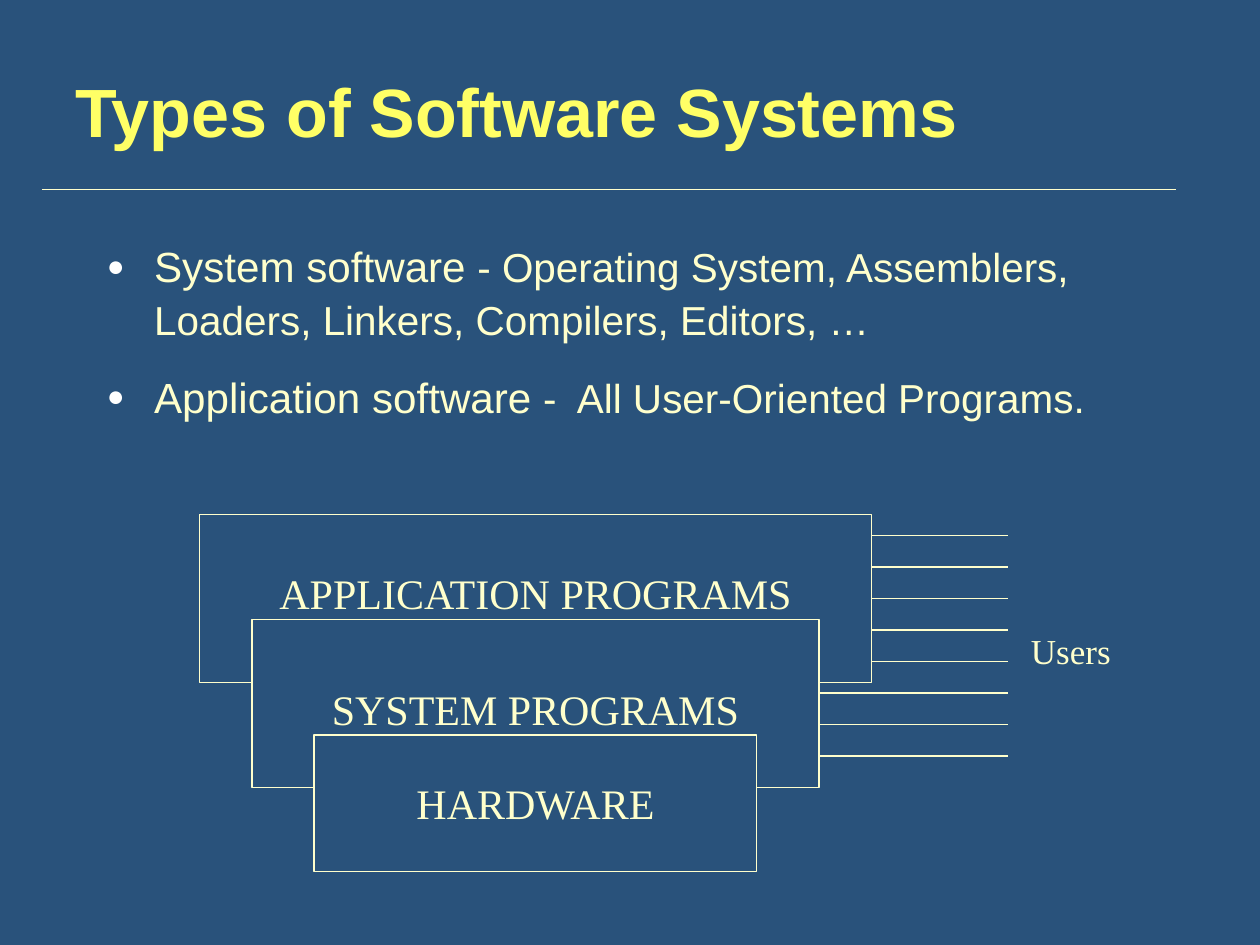
from lxml.etree import SubElement
from pptx import Presentation
from pptx.dml.color import RGBColor
from pptx.enum.shapes import MSO_CONNECTOR, MSO_SHAPE
from pptx.enum.text import MSO_ANCHOR, PP_ALIGN
from pptx.oxml.ns import qn
from pptx.util import Pt

NAVY = RGBColor(0x29, 0x52, 0x7B)
CREAM = RGBColor(0xFF, 0xFF, 0xCC)
YELLOW = RGBColor(0xFF, 0xFF, 0x66)
SANS = "Arial"
SERIF = "Times New Roman"


def add_run(p, text, size, font, color=CREAM, bold=False):
    r = p.add_run()
    r.text = text
    r.font.size = Pt(size)
    r.font.name = font
    r.font.bold = bold
    r.font.color.rgb = color


def add_box(s, x, y, w, h, wrap=True):
    tf = s.shapes.add_textbox(Pt(x), Pt(y), Pt(w), Pt(h)).text_frame
    tf.word_wrap = wrap
    return tf


def add_line(s, x1, x2, y, width=0.75):
    c = s.shapes.add_connector(MSO_CONNECTOR.STRAIGHT, Pt(x1), Pt(y), Pt(x2), Pt(y))
    c.line.color.rgb = CREAM
    c.line.width = Pt(width)
    SubElement(c._element.spPr, qn("a:effectLst"))


def add_bullet(p):
    pPr = p._p.get_or_add_pPr()
    pPr.set("marL", str(Pt(27)))
    pPr.set("indent", str(-Pt(27)))
    color = SubElement(pPr, qn("a:buClr"))
    SubElement(color, qn("a:srgbClr"), val="FFFFFF")
    SubElement(pPr, qn("a:buSzPct"), val="70000")
    SubElement(pPr, qn("a:buFont"), typeface=SANS)
    SubElement(pPr, qn("a:buChar"), char="●")


def add_title(s, x, y, w, h):
    tf = add_box(s, x, y, w, h)
    tf.vertical_anchor = MSO_ANCHOR.BOTTOM
    add_run(tf.paragraphs[0], "Types of Software Systems", 39, SANS, YELLOW, True)
    add_line(s, x - 12, x + 636, y + h + 18, 0.5)


def add_body(s, x, y, w, h):
    items = [
        ("System software", " - Operating System, Assemblers, Loaders, Linkers, Compilers, Editors, …"),
        ("Application software", " -  All User-Oriented Programs."),
    ]
    tf = add_box(s, x, y, w, h)
    for i, (term, detail) in enumerate(items):
        p = tf.add_paragraph() if i else tf.paragraphs[0]
        p.line_spacing = 1.07
        p.space_before = Pt(14 if i else 0)
        add_bullet(p)
        add_run(p, term, 24.1, SANS)
        add_run(p, detail, 23.1, SANS)


def add_layer(s, x, y, w, h, label, label_top):
    sp = s.shapes.add_shape(MSO_SHAPE.RECTANGLE, Pt(x), Pt(y), Pt(w), Pt(h))
    sp.shadow.inherit = False
    sp.fill.solid()
    sp.fill.fore_color.rgb = NAVY
    sp.line.color.rgb = CREAM
    sp.line.width = Pt(0.75)
    p = add_box(s, x, y + label_top, w, 36).paragraphs[0]
    p.alignment = PP_ALIGN.CENTER
    p.line_spacing = 1.1
    add_run(p, label, 24, SERIF)


def add_diagram(s, x, y, w):
    layers = [
        (0, 0, 96, "APPLICATION PROGRAMS", 24),
        (30, 60, 96, "SYSTEM PROGRAMS", 30),
        (65.5, 126, 78, "HARDWARE", 18),
    ]
    for inset, top, h, label, label_top in layers:
        add_layer(s, x + inset, y + top, w - 2 * inset, h, label, label_top)
    right = x + w
    for i in range(8):
        start = right if i < 5 else right - 30
        add_line(s, start, right + 78, y + 12 + 18 * i)
    p = add_box(s, right + 84, y + 59.5, 60, 31.5, False).paragraphs[0]
    p.line_spacing = 1.1
    add_run(p, "Users", 20, SERIF)


def main():
    prs = Presentation()
    prs.slide_width = Pt(720)
    prs.slide_height = Pt(540)
    s = prs.slides.add_slide(prs.slide_layouts[6])
    s.background.fill.solid()
    s.background.fill.fore_color.rgb = NAVY
    add_title(s, 36, 9, 594, 81)
    add_body(s, 54, 132, 612, 132)
    add_diagram(s, 114, 294, 384)
    prs.save("out.pptx")


if __name__ == "__main__":
    main()
